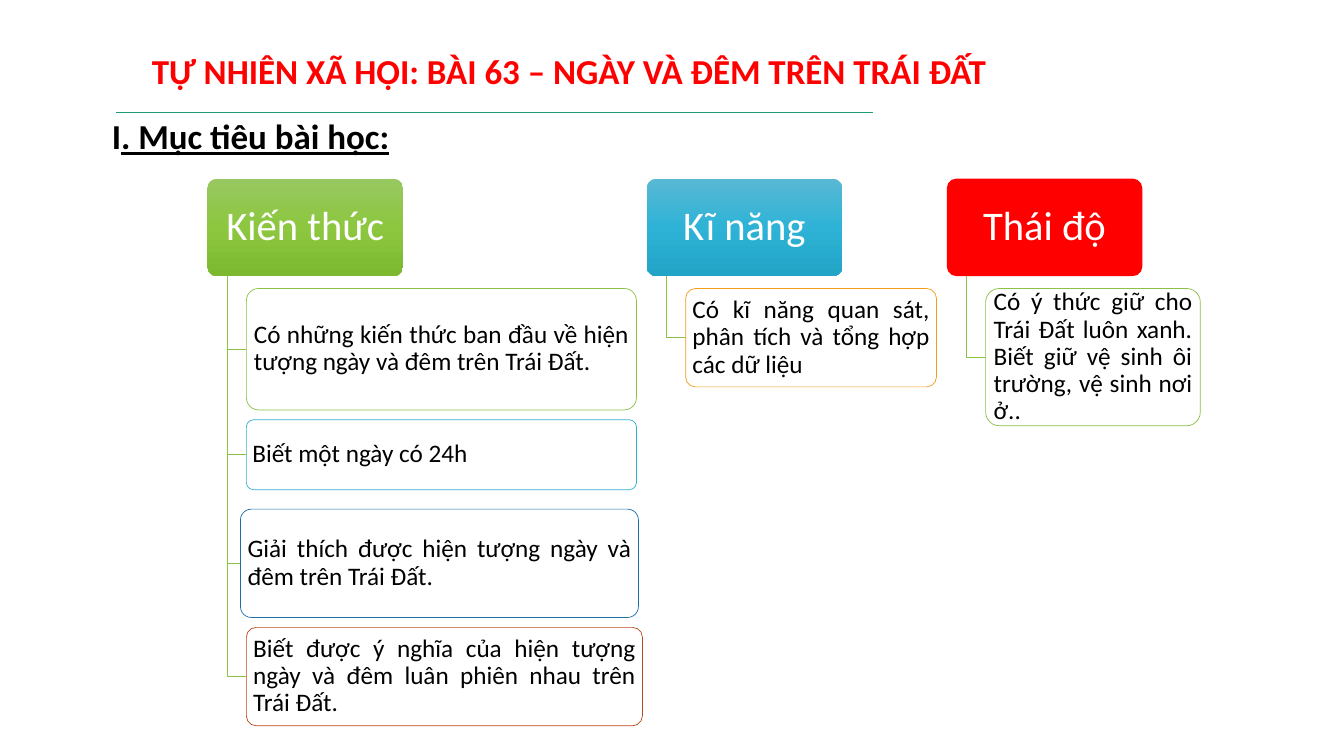
from copy import deepcopy

from lxml.etree import SubElement
from pptx import Presentation
from pptx.dml.color import RGBColor
from pptx.enum.shapes import MSO_CONNECTOR, MSO_SHAPE
from pptx.enum.text import MSO_ANCHOR, MSO_AUTO_SIZE, PP_ALIGN
from pptx.oxml.ns import qn
from pptx.util import Cm, Pt

RED = RGBColor(0xFF, 0x00, 0x00)
BLACK = RGBColor(0x00, 0x00, 0x00)
WHITE = RGBColor(0xFF, 0xFF, 0xFF)
GREEN = RGBColor(0x8B, 0xC1, 0x45)
TEAL = RGBColor(0x1D, 0x9A, 0x78)
CYAN = RGBColor(0x36, 0xAF, 0xCE)
BLUE = RGBColor(0x1D, 0x6F, 0xA9)
RUST = RGBColor(0xB7, 0x49, 0x19)
AMBER = RGBColor(0xF1, 0x9D, 0x19)
LIMES = [RGBColor(0x98, 0xC8, 0x62), RGBColor(0x8C, 0xC7, 0x3F),
         RGBColor(0x7D, 0xB8, 0x31)]
SKIES = [RGBColor(0x59, 0xB8, 0xD4), RGBColor(0x2E, 0xB3, 0xD6),
         RGBColor(0x21, 0xA4, 0xC6)]

# Lengths in cm. Titles: left, top, width, runs of (text, format)
TITLES = [
    (3.58, 1.12, 27.0,
     [("TỰ NHIÊN XÃ HỘI: BÀI 63 – NGÀY VÀ ĐÊM TRÊN TRÁI ĐẤT", {"color": RED})]),
    (2.57, 2.77, 29.46,
     [("I", {}), (". Mục tiêu bài học:", {"underline": True})]),
]
# Columns: left, head, fill, boxes of (gap above, shift, width, height, line, text)
COLUMNS = [
    (5.23, "Kiến thức", LIMES, [
        (0.31, 0, 9.83, 3.06, GREEN,
         "Có những kiến thức ban đầu về hiện tượng ngày và đêm trên Trái Đất."),
        (0.25, 0, 9.83, 1.76, CYAN, "Biết một ngày có 24h"),
        (0.49, -0.15, 10.03, 2.73, BLUE,
         "Giải thích được hiện tượng ngày và đêm trên Trái Đất."),
        (0.25, 0, 9.98, 2.48, RUST,
         "Biết được ý nghĩa của hiện tượng ngày và đêm luân phiên nhau "
         "trên Trái Đất."),
    ]),
    (16.3, "Kĩ năng", SKIES, [
        (0.31, 0, 6.32, 2.48, AMBER,
         "Có kĩ năng quan sát, phân tích và tổng hợp các dữ liệu"),
    ]),
    (23.86, "Thái độ", [RED], [
        (0.31, 0, 5.41, 3.46, GREEN,
         "Có ý thức giữ cho Trái Đất luôn xanh. Biết giữ vệ sinh ôi trường, "
         "vệ sinh nơi ở.."),
    ]),
]
TOP, HEAD_W, HEAD_H = 4.5, 4.93, 2.46
STEM, INDENT = 0.49, 0.98
HEAD_TEXT = {"size": 29, "color": WHITE}
BOX_TEXT = {"size": 18, "color": BLACK}
TITLE_TEXT = {"size": 25, "color": BLACK, "bold": True}


def add_run(para, text, form):
    run = para.add_run()
    run.text = text
    font = run.font
    font.name = "Calibri"
    for key, value in form.items():
        if key == "color":
            font.color.rgb = value
        else:
            setattr(font, key, Pt(value) if key == "size" else value)


def add_card(left, top, width, height, text, form, align, pad):
    card = shapes.add_shape(MSO_SHAPE.ROUNDED_RECTANGLE,
                            Cm(left), Cm(top), Cm(width), Cm(height))
    card.adjustments[0] = 0.1
    card.shadow.inherit = False
    frame = card.text_frame
    margins = {"margin_left": pad[0], "margin_right": pad[0],
               "margin_top": pad[1], "margin_bottom": pad[1]}
    for key, value in margins.items():
        setattr(frame, key, Cm(value))
    frame.word_wrap = True
    frame.vertical_anchor = MSO_ANCHOR.MIDDLE
    para = frame.paragraphs[0]
    para.alignment = align
    para.line_spacing = 0.9
    add_run(para, text, form)
    return card


def paint(card, colors):
    """Fill with one colour, or with an even downward gradient."""
    fill = card.fill
    if len(colors) == 1:
        fill.solid()
        fill.fore_color.rgb = colors[0]
        return
    fill.gradient()
    fill.gradient_angle = 270
    stops = card._element.spPr.find(qn("a:gradFill")).find(qn("a:gsLst"))
    while len(stops) < len(colors):
        stops.append(deepcopy(stops[0]))
    for i, (stop, color) in enumerate(zip(fill.gradient_stops, colors)):
        stop.position = i / (len(colors) - 1)
        stop.color.rgb = color


def fade(card, percent):
    color = card._element.spPr.find(qn("a:solidFill"))[0]
    SubElement(color, qn("a:alpha"), val=str(percent * 1000))


def outline(shape, color):
    shape.line.color.rgb = color
    shape.line.width = Pt(0.5)


def add_stem(left, top, right, mid):
    """Draw the bent line from a head down and across to a box."""
    build = shapes.build_freeform(Cm(left), Cm(top))
    build.add_line_segments([(Cm(left), Cm(mid)), (Cm(right), Cm(mid))],
                            close=False)
    stem = build.convert_to_shape()
    stem.fill.background()
    stem.shadow.inherit = False
    outline(stem, GREEN)


deck = Presentation()
deck.slide_width, deck.slide_height = Cm(33.87), Cm(19.05)
shapes = deck.slides.add_slide(deck.slide_layouts[6]).shapes

for left, top, width, runs in TITLES:
    frame = shapes.add_textbox(Cm(left), Cm(top), Cm(width), Cm(1.32)).text_frame
    frame.word_wrap = True
    frame.auto_size = MSO_AUTO_SIZE.SHAPE_TO_FIT_TEXT
    for text, form in runs:
        add_run(frame.paragraphs[0], text, {**TITLE_TEXT, **form})

rule = shapes.add_connector(MSO_CONNECTOR.STRAIGHT,
                            Cm(2.92), Cm(2.82), Cm(22), Cm(2.82))
outline(rule, TEAL)
SubElement(rule._element.spPr, qn("a:effectLst"))

for left, name, colors, boxes in COLUMNS:
    head = add_card(left, TOP, HEAD_W, HEAD_H, name, HEAD_TEXT,
                    PP_ALIGN.CENTER, (0.15, 0.1))
    paint(head, colors)
    head.line.fill.background()
    base = y = TOP + HEAD_H
    for gap, shift, width, height, color, text in boxes:
        x = left + INDENT + shift
        y += gap
        add_stem(left + STEM, base, x, y + height / 2)
        box = add_card(x, y, width, height, text, BOX_TEXT,
                       PP_ALIGN.JUSTIFY, (0.1, 0.08))
        paint(box, [WHITE])
        fade(box, 90)
        outline(box, color)
        y += height

deck.save("out.pptx")
